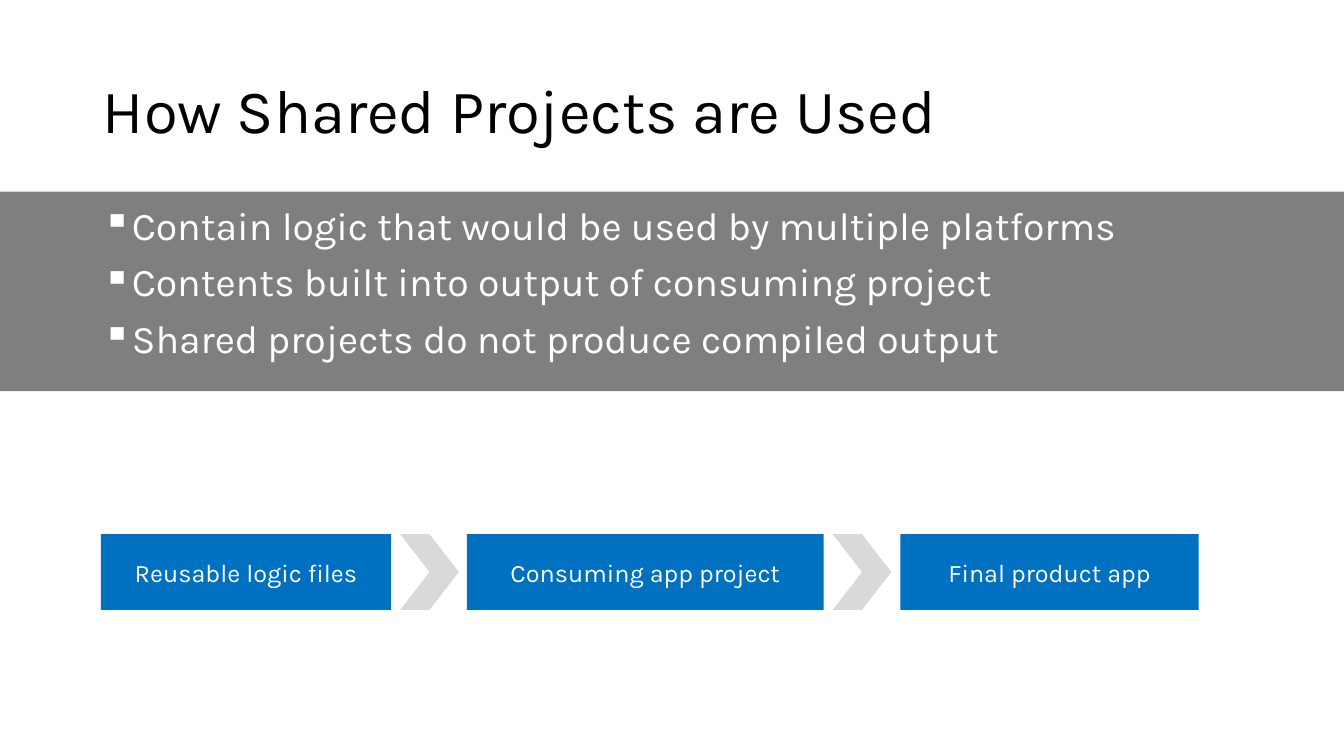
from typing import NamedTuple

from lxml import etree
from pptx import Presentation, util as u
from pptx.dml.color import RGBColor
from pptx.enum import shapes, text
from pptx.oxml.ns import qn

PX = 9144
FONT = "Karla"
WHITE, BLACK, BAND, BLUE, CHEVRON = "FFFFFF", "000000", "7F7F7F", "0070C0", "D9D9D9"
FLOW_TOP, FLOW_HEIGHT = 530, 75
CHEVRON_WIDTH, CHEVRON_GAP = 58, 9


class Step(NamedTuple):
    """A box of the process flow, with its place in px."""
    left: int
    width: int
    label: str


STEPS = [
    Step(100, 288, "Reusable logic files"),
    Step(463, 354, "Consuming app project"),
    Step(893, 296, "Final product app"),
]
BULLETS = [
    "Contain logic that would be used by multiple platforms",
    "Contents built into output of consuming project",
    "Shared projects do not produce compiled output",
]


def px(*lengths: int) -> list[u.Emu]:
    """Turn px into EMU."""
    return [u.Emu(length * PX) for length in lengths]


def rgb(color: str) -> RGBColor:
    """Turn a hex string into a colour."""
    return RGBColor.from_string(color)


def add_run(p, words: str, size: int, color: str) -> None:
    """Add a formatted run to a paragraph."""
    r = p.add_run()
    r.text = words
    r.font.name = FONT
    r.font.size = u.Pt(size)
    r.font.color.rgb = rgb(color)


def add_block(s, kind, left: int, top: int, width: int, height: int, color: str):
    """Add a flat, borderless preset shape."""
    sp = s.shapes.add_shape(kind, *px(left, top, width, height))
    sp.shadow.inherit = False
    sp.fill.solid()
    sp.fill.fore_color.rgb = rgb(color)
    sp.line.fill.background()
    return sp


def add_title(s, words: str) -> None:
    """Place and format the title placeholder."""
    sp = s.shapes.title
    sp.left, sp.top, sp.width, sp.height = px(92, 40, 1150, 145)
    tf = sp.text_frame
    tf.vertical_anchor = text.MSO_ANCHOR.MIDDLE
    p = tf.paragraphs[0]
    p.alignment = text.PP_ALIGN.LEFT
    p.line_spacing = 0.9
    add_run(p, words, 44, BLACK)


def add_bullets(s, lines: list[str]) -> None:
    """Add the bulleted list over the band."""
    tf = s.shapes.add_textbox(*px(92, 200, 1150, 476)).text_frame
    tf.word_wrap = True
    for i, line in enumerate(lines):
        p = tf.add_paragraph() if i else tf.paragraphs[0]
        p.line_spacing = 0.9
        p.space_before = u.Pt(10 if i else 0)
        props = p._p.get_or_add_pPr()
        props.set("marL", str(25 * PX))
        props.set("indent", str(-25 * PX))
        etree.SubElement(props, qn("a:buChar")).set("char", "▪")
        add_run(p, line, 28, WHITE)


def add_flow(s, steps: list[Step]) -> None:
    """Add the step boxes with a chevron after each but the last."""
    for step in steps:
        sp = add_block(s, shapes.MSO_SHAPE.RECTANGLE, step.left, FLOW_TOP,
                       step.width, FLOW_HEIGHT, BLUE)
        tf = sp.text_frame
        tf.vertical_anchor = text.MSO_ANCHOR.MIDDLE
        p = tf.paragraphs[0]
        p.alignment = text.PP_ALIGN.CENTER
        add_run(p, step.label, 18, WHITE)
    for step in steps[:-1]:
        add_block(s, shapes.MSO_SHAPE.CHEVRON, step.left + step.width + CHEVRON_GAP,
                  FLOW_TOP, CHEVRON_WIDTH, FLOW_HEIGHT, CHEVRON)


def main() -> None:
    """Build and save the slide."""
    prs = Presentation()
    prs.slide_width, prs.slide_height = px(1333, 750)
    s = prs.slides.add_slide(prs.slide_layouts[5])
    add_block(s, shapes.MSO_SHAPE.RECTANGLE, 0, 190, 1333, 198, BAND)
    add_title(s, "How Shared Projects are Used")
    add_bullets(s, BULLETS)
    add_flow(s, STEPS)
    prs.save("out.pptx")


if __name__ == "__main__":
    main()
